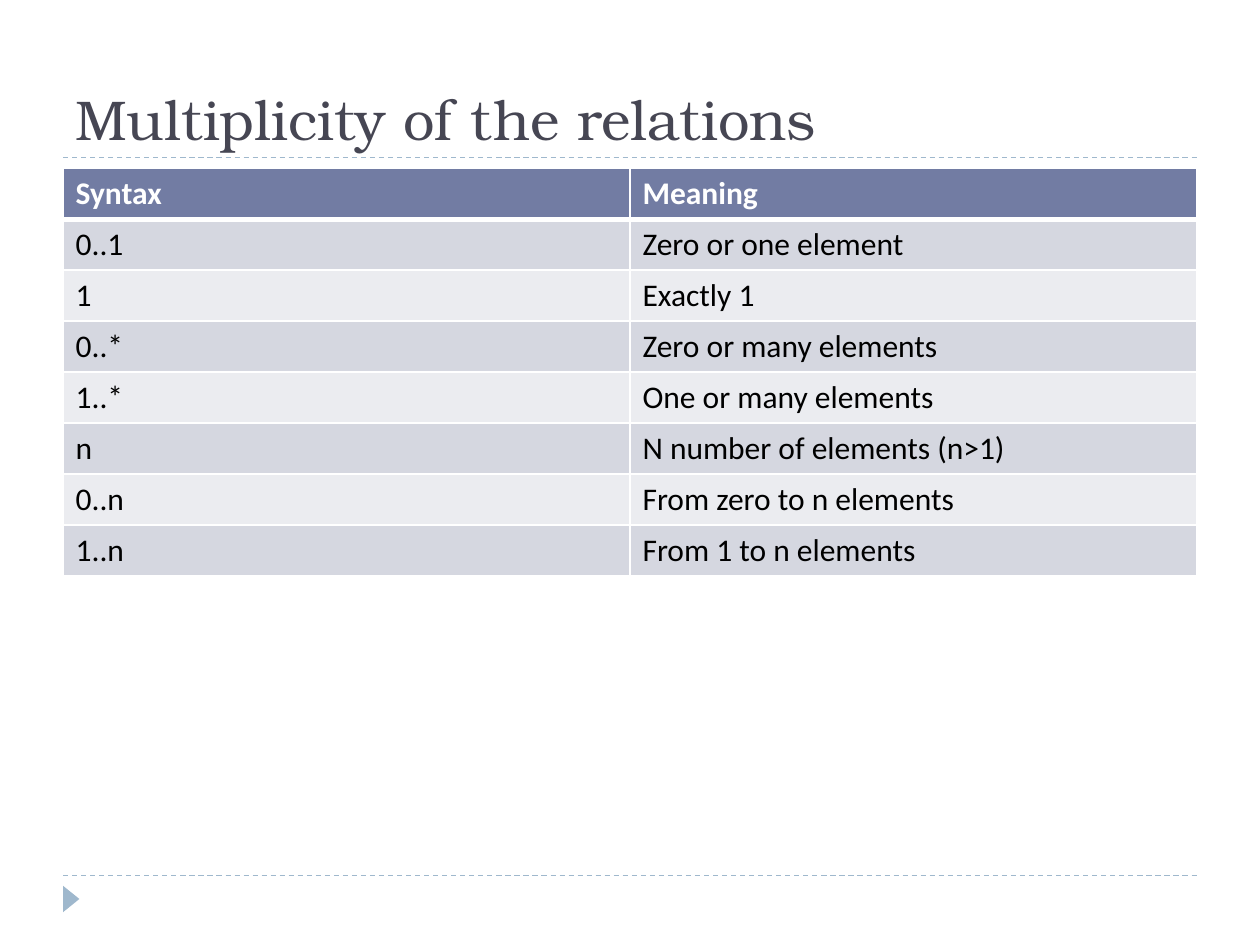
from pptx import Presentation
from pptx.dml.color import RGBColor
from pptx.enum.dml import MSO_LINE_DASH_STYLE as Dash
from pptx.enum.shapes import MSO_CONNECTOR as Connector, MSO_SHAPE as Shape
from pptx.enum.text import MSO_ANCHOR as Anchor
from pptx.oxml.ns import qn
from pptx.util import Inches, Pt
from lxml.etree import SubElement

COLOURS = {
    "title": "464653", "accent": "9FB8CD", "header": "727CA3",
    "odd": "D5D7E0", "even": "EBECF0", "white": "FFFFFF", "black": "000000",
}
FORMATS = {
    "title": {"name": "TeX Gyre Bonum", "size": Pt(32), "bold": False},
    "header": {"name": "Calibri", "size": Pt(18), "bold": True},
    "body": {"name": "Calibri", "size": Pt(18), "bold": False},
}
COLUMNS, ROWS = 20, 15
MULTIPLICITIES = [
    ("Syntax", "Meaning"),
    ("0..1", "Zero or one element"),
    ("1", "Exactly 1"),
    ("0..*", "Zero or many elements"),
    ("1..*", "One or many elements"),
    ("n", "N number of elements (n>1)"),
    ("0..n", "From zero to n elements"),
    ("1..n", "From 1 to n elements"),
]


class SlideBuilder:
    def __init__(self, deck):
        self.page = deck.slides.add_slide(deck.slide_layouts[6])
        self.column = deck.slide_width / COLUMNS
        self.row = deck.slide_height / ROWS

    def grid(self, left, top, width, height):
        return [int(length * unit) for length, unit in zip(
            (left, top, width, height), (self.column, self.row) * 2)]

    def colour(self, name):
        return RGBColor.from_string(COLOURS[name])

    def paint(self, item, name):
        item.fill.solid()
        item.fill.fore_color.rgb = self.colour(name)

    def add_text(self, frame, text, style, colour):
        span = frame.paragraphs[0].add_run()
        span.text = text
        for key, value in FORMATS[style].items():
            setattr(span.font, key, value)
        span.font.color.rgb = self.colour(colour)

    def title(self, text, *area):
        box = self.page.shapes.add_textbox(*self.grid(*area))
        frame = box.text_frame
        frame.word_wrap = True
        frame.vertical_anchor = Anchor.BOTTOM
        self.add_text(frame, text, "title", "title")

    def rule(self, left, top, width):
        x, y, length, _ = self.grid(left, top, width, 0)
        line = self.page.shapes.add_connector(Connector.STRAIGHT, x, y, x + length, y)
        line.line.color.rgb = self.colour("accent")
        line.line.width = Pt(0.75)
        line.line.dash_style = Dash.DASH
        SubElement(line._element.spPr, qn("a:effectLst"))

    def marker(self, *area):
        triangle = self.page.shapes.add_shape(Shape.ISOSCELES_TRIANGLE, *self.grid(*area))
        triangle.rotation = 90
        triangle.shadow.inherit = False
        triangle.line.fill.background()
        self.paint(triangle, "accent")

    def borders(self, cell, **widths):
        properties = cell._tc.get_or_add_tcPr()
        for index, side in enumerate("LRTB"):
            line = properties.makeelement(qn(f"a:ln{side}"), {"w": str(Pt(widths.get(side, 1)))})
            solid = SubElement(line, qn("a:solidFill"))
            SubElement(solid, qn("a:srgbClr"), val=COLOURS["white"])
            properties.insert(index, line)

    def table(self, records, *area):
        shape = self.page.shapes.add_table(len(records), len(records[0]), *self.grid(*area))
        for number, record in enumerate(records):
            header = number == 0
            fill = "header" if header else "odd" if number % 2 else "even"
            style, colour = ("header", "white") if header else ("body", "black")
            widths = {0: {"B": 3}, 1: {"T": 3}}.get(number, {})
            for cell, text in zip(shape.table.rows[number].cells, record):
                self.add_text(cell.text_frame, text, style, colour)
                self.paint(cell, fill)
                self.borders(cell, **widths)


deck = Presentation()
deck.slide_width, deck.slide_height = Inches(10), Inches(7.5)
slide = SlideBuilder(deck)
for height in (13.9, 2.5):
    slide.rule(1, height, 18)
slide.marker(0.92, 14.14, 0.42, 0.26)
slide.title("Multiplicity of the relations", 1, 0.34, 18, 2.16)
slide.table(MULTIPLICITIES, 1, 2.67, 18, 6.48)
deck.save("out.pptx")
